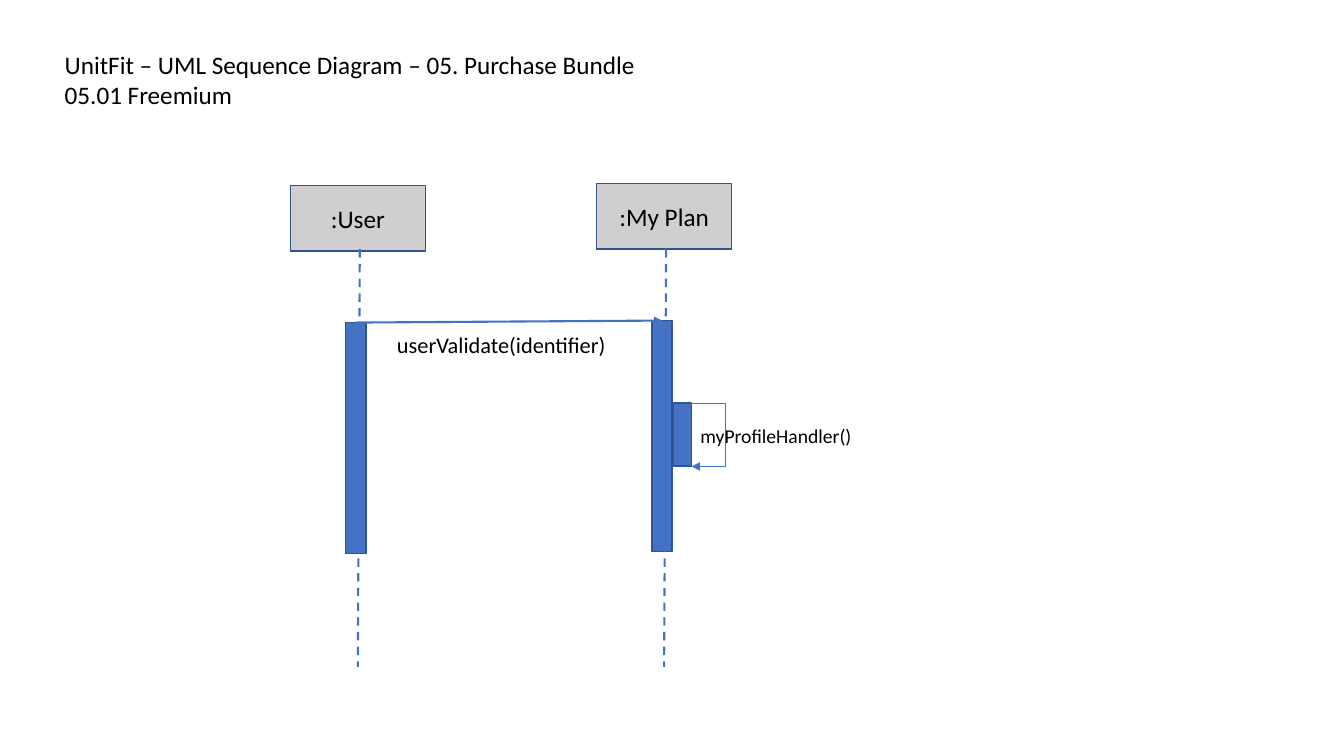
"""Build the UML sequence diagram slide for the freemium bundle purchase."""
from lxml import etree
from pptx import Presentation
from pptx.dml.color import RGBColor
from pptx.enum.dml import MSO_LINE
from pptx.enum.shapes import MSO_CONNECTOR, MSO_SHAPE
from pptx.enum.text import MSO_ANCHOR, MSO_AUTO_SIZE, PP_ALIGN
from pptx.oxml.ns import qn
from pptx.util import Pt

BLUE = RGBColor(0x44, 0x72, 0xC4)
NAVY = RGBColor(0x31, 0x53, 0x8F)
GRAY = RGBColor(0xD0, 0xCE, 0xCE)
BLACK = RGBColor(0, 0, 0)
RECT = MSO_SHAPE.RECTANGLE
STRAIGHT, ELBOW = MSO_CONNECTOR.STRAIGHT, MSO_CONNECTOR.ELBOW
DASH = MSO_LINE.DASH
LEFT, CENTER = PP_ALIGN.LEFT, PP_ALIGN.CENTER
TOP, MIDDLE = MSO_ANCHOR.TOP, MSO_ANCHOR.MIDDLE
NO_FIT = MSO_AUTO_SIZE.NONE


def write(sp, text, size=18, align=LEFT, anchor=TOP, inset=3.6):
    tf = sp.text_frame
    tf.word_wrap = True
    tf.auto_size = NO_FIT
    tf.vertical_anchor = anchor
    tf.margin_left = tf.margin_right = Pt(7.2)
    tf.margin_top = tf.margin_bottom = Pt(inset)
    for i, line in enumerate(text.split("\n")):
        p = tf.add_paragraph() if i else tf.paragraphs[0]
        p.alignment = align
        p.space_before = Pt(0)
        r = p.add_run()
        r.text = line
        r.font.name = "Calibri"
        r.font.size = Pt(size)
        r.font.color.rgb = BLACK


def connect(kind, x1, y1, x2, y2, width=1.5, dash=None, arrow=False):
    line = s.shapes.add_connector(kind, Pt(x1), Pt(y1), Pt(x2), Pt(y2))
    line.line.color.rgb = BLUE
    line.line.width = Pt(width)
    if dash:
        line.line.dash_style = dash
    if arrow:
        etree.SubElement(line.line._get_or_add_ln(), qn("a:tailEnd"), type="triangle")
    etree.SubElement(line._element.spPr, qn("a:effectLst"))
    return line


prs = Presentation()
prs.slide_width, prs.slide_height = Pt(960), Pt(540)
s = prs.slides.add_slide(prs.slide_layouts[5])

title = s.shapes.title
title.left, title.top, title.width, title.height = Pt(39), Pt(31.7), Pt(441.4), Pt(51)
write(title, "UnitFit – UML Sequence Diagram – 05. Purchase Bundle\n05.01 Freemium")

boxes = []
for name, x, y in [(":User", 207.4, 132.5), (":My Plan", 426.2, 131)]:
    boxes.append((x, y, 96.5, 46.8, GRAY, name))
    boxes.append((x + 39.6, y + 98, 14.4, 165, BLUE, ""))
boxes.append((481, 288, 13, 44.8, BLUE, ""))

for x, y, w, h, fill, name in boxes:
    sp = s.shapes.add_shape(RECT, Pt(x), Pt(y), Pt(w), Pt(h))
    sp.shadow.inherit = False
    sp.fill.solid()
    sp.fill.fore_color.rgb = fill
    sp.line.color.rgb = NAVY
    sp.line.width = Pt(1)
    if name:
        write(sp, name, align=CENTER, anchor=MIDDLE)

for x in (257, 475.8):
    connect(STRAIGHT, x, 178, x - 1.4, 476.4, dash=DASH)
connect(STRAIGHT, 254.2, 230.4, 473, 229, arrow=True)

self_call = connect(ELBOW, 493.2, 288.4, 493.9, 333.2, width=1, arrow=True)
bend = self_call._element.spPr.find(qn("a:prstGeom")).find(qn("a:avLst"))
etree.SubElement(bend, qn("a:gd"), name="adj1", fmla="val 3500000")

for text, x, y, w, h, size, inset in [
    ("myProfileHandler()", 493.2, 299.5, 151.2, 41, 14, 3.6),
    ("userValidate(identifier)", 276.5, 229, 182.2, 33.8, 16, 7.2),
]:
    label = s.shapes.add_textbox(Pt(x), Pt(y), Pt(w), Pt(h))
    write(label, text, size=size, inset=inset)

prs.save("out.pptx")
